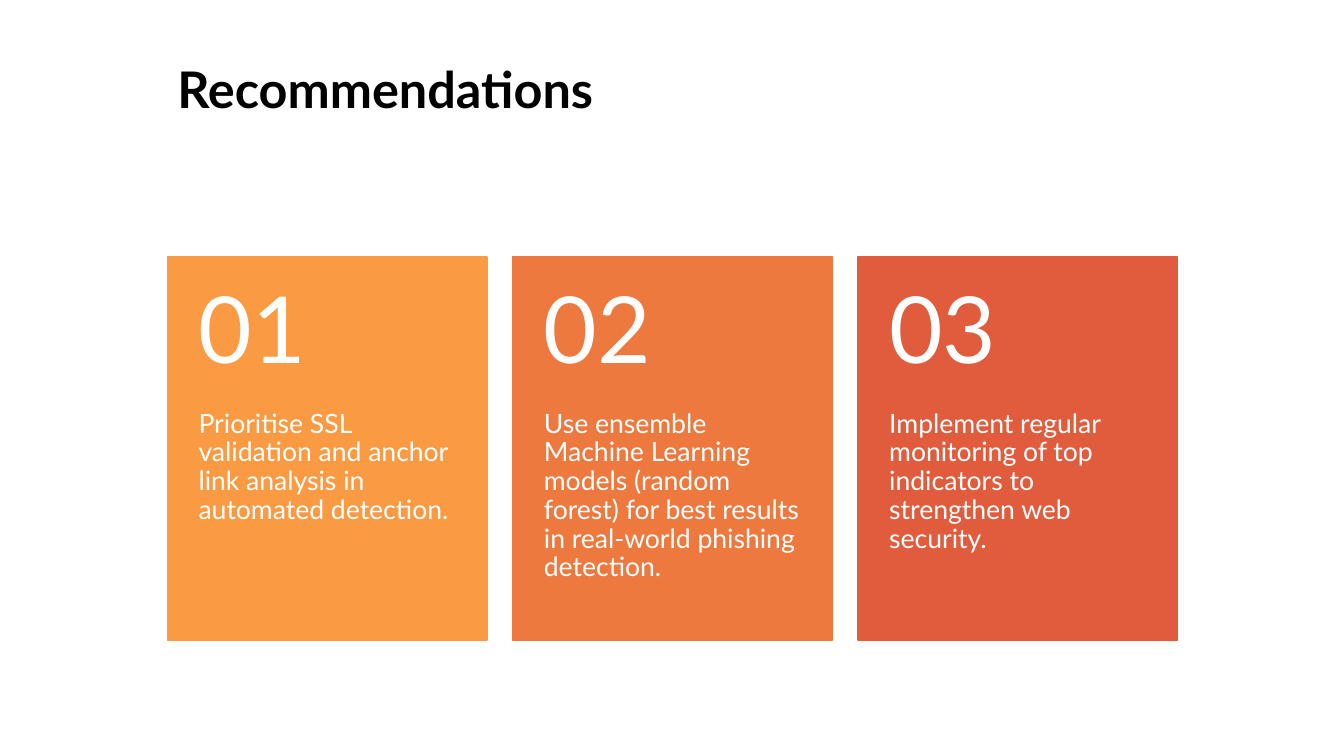
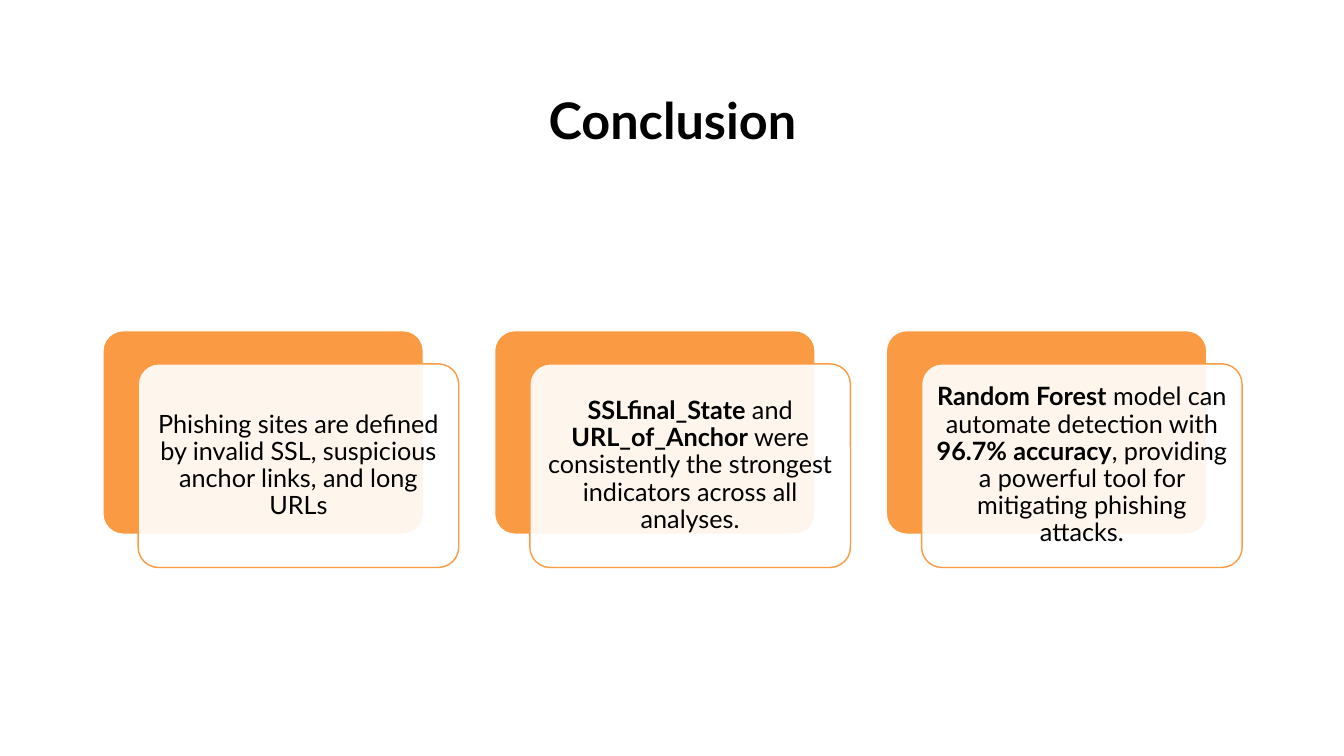
from lxml import etree
from pptx import Presentation
from pptx.dml.color import RGBColor
from pptx.enum.shapes import MSO_SHAPE
from pptx.enum.text import MSO_ANCHOR, PP_ALIGN
from pptx.oxml.ns import qn
from pptx.util import Inches, Pt

FONT = "Lato"
BLACK = RGBColor(0x00, 0x00, 0x00)
WHITE = RGBColor(0xFF, 0xFF, 0xFF)
AMBER = RGBColor(0xFA, 0x9A, 0x42)
ORANGE = RGBColor(0xEE, 0x79, 0x3F)
RED = RGBColor(0xE1, 0x5C, 0x3D)

RECOMMENDATIONS = [
    (AMBER, "Prioritise SSL validation and anchor link analysis in automated detection."),
    (ORANGE, "Use ensemble Machine Learning models (random forest) for best results "
             "in real-world phishing detection."),
    (RED, "Implement regular monitoring of top indicators to strengthen web security."),
]

# Each conclusion is a list of (text, bold) spans.
CONCLUSIONS = [
    [("Phishing sites are defined by invalid SSL, suspicious anchor links, and long URLs", False)],
    [("SSLfinal_State", True), (" and ", False), ("URL_of_Anchor", True),
     (" were consistently the strongest indicators across all analyses.", False)],
    [("Random Forest", True), (" model can automate detection with ", False),
     ("96.7% accuracy", True),
     (", providing a powerful tool for mitigating phishing attacks.", False)],
]

TILE_LEFT, TILE_TOP, TILE_WIDTH, TILE_HEIGHT = 1.66, 2.55, 3.17, 3.8
TILE_PITCH = 3.425
NUMBER_HEIGHT = 1.52

CARD_LEFT, CARD_TOP, CARD_WIDTH, CARD_HEIGHT = 1.02, 3.28, 3.18, 2.02
CARD_PITCH = 3.885
PANEL_SHIFT_X, PANEL_SHIFT_Y = 0.35, 0.33


def write(shape, spans, size, color, insets, align=PP_ALIGN.LEFT, anchor=MSO_ANCHOR.TOP):
    """Fill a shape with one paragraph; insets run left, top, right, bottom in inches."""
    frame = shape.text_frame
    frame.word_wrap = True
    frame.vertical_anchor = anchor
    (frame.margin_left, frame.margin_top,
     frame.margin_right, frame.margin_bottom) = map(Inches, insets)
    para = frame.paragraphs[0]
    para.alignment = align
    para.line_spacing = 0.9
    para.font.name = FONT
    para.font.size = Pt(size)
    para.font.color.rgb = color
    for words, bold in spans:
        span = para.add_run()
        span.text = words
        span.font.bold = bold


def add_box(page, left, top, width, height):
    return page.shapes.add_textbox(*map(Inches, (left, top, width, height)))


def add_block(page, kind, left, top, width, height, fill, line):
    block = page.shapes.add_shape(kind, *map(Inches, (left, top, width, height)))
    block.shadow.inherit = False
    block.fill.solid()
    block.fill.fore_color.rgb = fill
    block.line.color.rgb = line
    block.line.width = Pt(1)
    if kind == MSO_SHAPE.ROUNDED_RECTANGLE:
        block.adjustments[0] = 0.1
    return block


def set_opacity(shape, percent):
    color = shape.fill._xPr.find(qn("a:solidFill"))[0]
    etree.SubElement(color, qn("a:alpha")).set("val", str(percent * 1000))


def add_page(deck, title, **layout):
    page = deck.slides.add_slide(deck.slide_layouts[6])
    box = add_box(page, 1.66, 0.6, 10.02, 1.24)
    write(box, [(title, True)], 36, BLACK, (0.1, 0.05, 0.1, 0.05), **layout)
    return page


def add_recommendations(deck):
    page = add_page(deck, "Recommendations")
    for index, (color, advice) in enumerate(RECOMMENDATIONS):
        left = TILE_LEFT + index * TILE_PITCH
        add_block(page, MSO_SHAPE.RECTANGLE, left, TILE_TOP, TILE_WIDTH, TILE_HEIGHT,
                  color, color)
        body = add_box(page, left, TILE_TOP + NUMBER_HEIGHT, TILE_WIDTH,
                       TILE_HEIGHT - NUMBER_HEIGHT)
        write(body, [(advice, False)], 19, WHITE, (0.31, 0, 0.31, 0.36))
        number = add_box(page, left, TILE_TOP, TILE_WIDTH, NUMBER_HEIGHT)
        write(number, [(f"{index + 1:02d}", False)], 66, WHITE, (0.31, 0.18, 0.31, 0.18),
              anchor=MSO_ANCHOR.MIDDLE)


def add_conclusion(deck):
    centred = {"align": PP_ALIGN.CENTER, "anchor": MSO_ANCHOR.MIDDLE}
    page = add_page(deck, "Conclusion", **centred)
    for index, spans in enumerate(CONCLUSIONS):
        left = CARD_LEFT + index * CARD_PITCH
        add_block(page, MSO_SHAPE.ROUNDED_RECTANGLE, left, CARD_TOP,
                  CARD_WIDTH, CARD_HEIGHT, AMBER, WHITE)
        panel = add_block(page, MSO_SHAPE.ROUNDED_RECTANGLE, left + PANEL_SHIFT_X,
                          CARD_TOP + PANEL_SHIFT_Y, CARD_WIDTH, CARD_HEIGHT, WHITE, AMBER)
        set_opacity(panel, 90)
        # The rounded corners add about 0.06 inches to each inset.
        write(panel, spans, 18, BLACK, (0.07, 0.07, 0.07, 0.07), **centred)


def main():
    deck = Presentation()
    deck.slide_width, deck.slide_height = Inches(13.33), Inches(7.5)
    add_recommendations(deck)
    add_conclusion(deck)
    deck.save("out.pptx")


if __name__ == "__main__":
    main()
